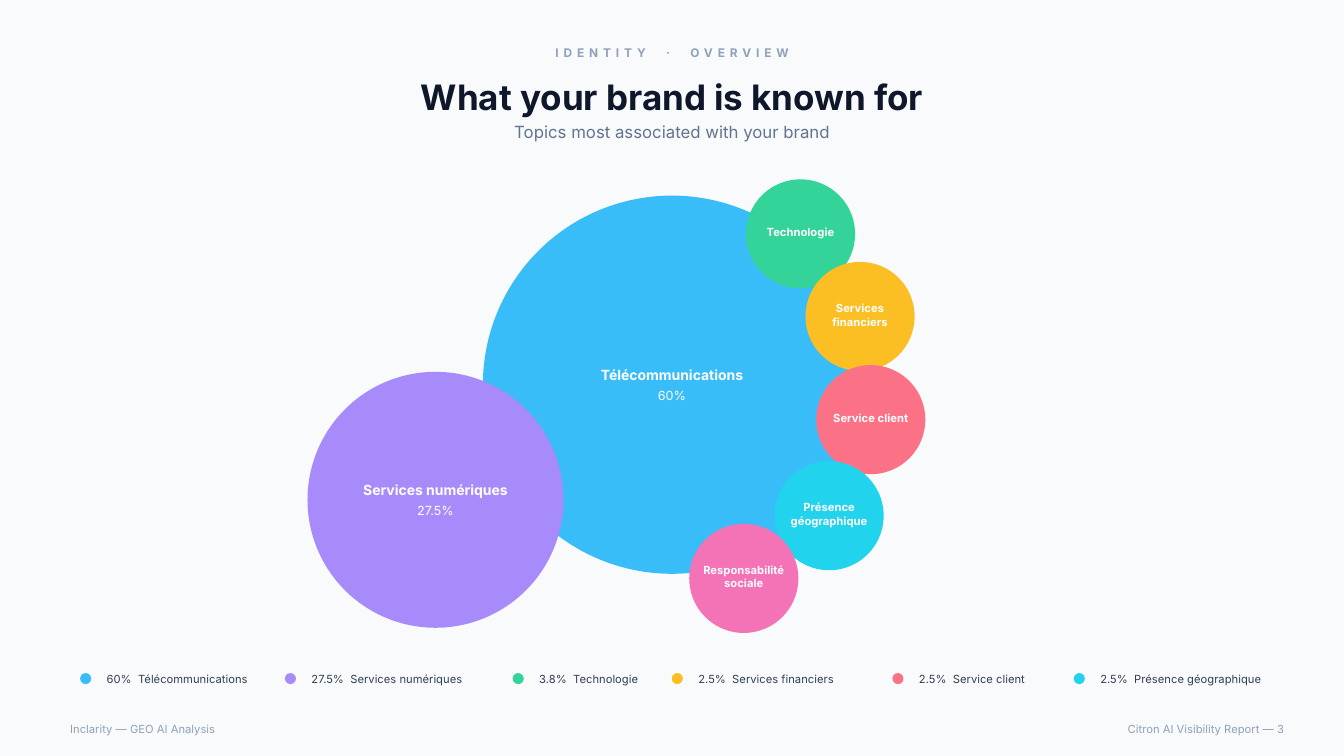
"""Build the slide that shows which topics a brand is known for."""
import pptx
import pptx.util
import pptx.dml.color
import pptx.enum.shapes
import pptx.enum.text

Cm = pptx.util.Cm
ALIGN = pptx.enum.text.PP_ALIGN
OVAL = pptx.enum.shapes.MSO_SHAPE.OVAL

TOPICS = [
    ("Télécommunications", "60%", "38BDF8", 12.17, 4.93, 9.53),
    ("Services numériques", "27.5%", "A78BFA", 7.75, 9.37, 6.45),
    ("Technologie", "3.8%", "34D399", 18.8, 4.52, 2.75),
    ("Services financiers", "2.5%", "FBBF24", 20.3, 6.6, 2.75),
    ("Service client", "2.5%", "FB7185", 20.57, 9.2, 2.75),
    ("Présence géographique", "2.5%", "22D3EE", 19.52, 11.62, 2.75),
    ("Responsabilité sociale", "", "F472B6", 17.37, 13.2, 2.75),
]
WIDTHS = [4.88, 5.46, 3.73, 5.28, 4.29, 5.66]


def color(text):
    return pptx.dml.color.RGBColor.from_string(text)


class Page:
    """Hold the style and the current slide."""

    face = "Inter"
    ink, slate, muted = "0F172A", "62748E", "90A1B9"
    label, white, paper = "334155", "FFFFFF", "F8FAFC"
    left, width = 1.52, 30.84

    def __init__(self, deck):
        self.slide = deck.slides.add_slide(deck.slide_layouts[5])
        fill = self.slide.background.fill
        fill.solid()
        fill.fore_color.rgb = color(self.paper)

    def style(self, box, text, size, tint, bold=False, align=ALIGN.CENTER, space=0):
        frame = box.text_frame
        frame.text = text
        frame.word_wrap = True
        frame.auto_size = pptx.enum.text.MSO_AUTO_SIZE.NONE
        frame.vertical_anchor = pptx.enum.text.MSO_ANCHOR.MIDDLE
        line = frame.paragraphs[0]
        line.alignment = align
        for run in line.runs:
            run.font.name = self.face
            run.font.size = pptx.util.Pt(size)
            run.font.bold = bold
            run.font.color.rgb = color(tint)
            if space:
                run.font._element.set("spc", str(space))

    def title(self, text, top, height):
        box = self.slide.shapes.title
        box.left, box.top = Cm(self.left), Cm(top)
        box.width, box.height = Cm(self.width), Cm(height)
        self.style(box, text, 25, self.ink, True)

    def text(self, x, y, w, h, *words, **looks):
        box = self.slide.shapes.add_textbox(Cm(x), Cm(y), Cm(w), Cm(h))
        self.style(box, *words, **looks)

    def disc(self, x, y, size, tint):
        dot = self.slide.shapes.add_shape(OVAL, Cm(x), Cm(y), Cm(size), Cm(size))
        dot.shadow.inherit = False
        dot.fill.solid()
        dot.fill.fore_color.rgb = color(tint)
        dot.line.fill.background()

    def bubble(self, name, share, tint, x, y, size):
        self.disc(x, y, size, tint)
        mid = y + size / 2
        if size > 5:
            self.text(x, mid - 0.53, size, 0.56, name, 10, self.white, bold=True)
            self.text(x, mid + 0.03, size, 0.48, share, 9, self.white)
        else:
            self.text(x, mid - 0.28, size, 0.48, name, 8, self.white, bold=True)

    def legend(self, topics, widths, x, y):
        for (name, share, tint, *_), width in zip(topics, widths):
            self.disc(x, y + 0.14, 0.28, tint)
            self.text(x + 0.42, y, width, 0.56, f"{share}  {name}", 8,
                      self.label, align=ALIGN.LEFT)
            x += width + 0.28


def main():
    deck = pptx.Presentation()
    deck.slide_width, deck.slide_height = Cm(33.87), Cm(19.05)
    page = Page(deck)
    page.text(page.left, 1.02, page.width, 0.64, "IDENTITY  ·  OVERVIEW", 8.5,
              page.muted, bold=True, space=350)
    page.title("What your brand is known for", 1.73, 1.42)
    page.text(page.left, 3, page.width, 0.64,
              "Topics most associated with your brand", 12, page.slate)
    for topic in TOPICS:
        page.bubble(*topic)
    page.legend(TOPICS, WIDTHS, 2.02, 16.82)
    page.text(page.left, 18.08, 15.16, 0.56, "Inclarity — GEO AI Analysis", 8,
              page.muted, align=ALIGN.LEFT)
    page.text(17.3, 18.08, 15.32, 0.56, "Citron AI Visibility Report — 3", 8,
              page.muted, align=ALIGN.RIGHT)
    deck.save("out.pptx")


if __name__ == "__main__":
    main()
